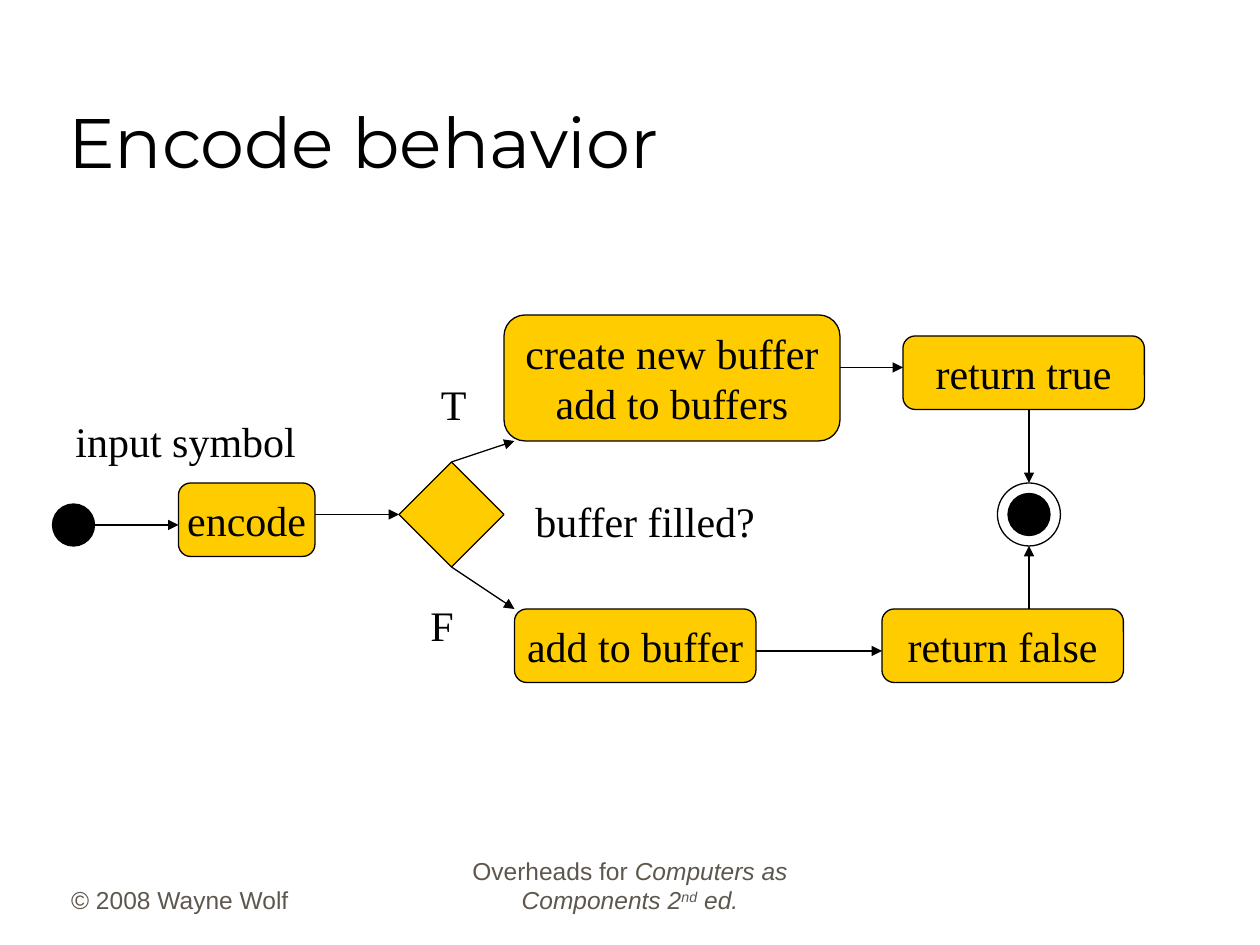
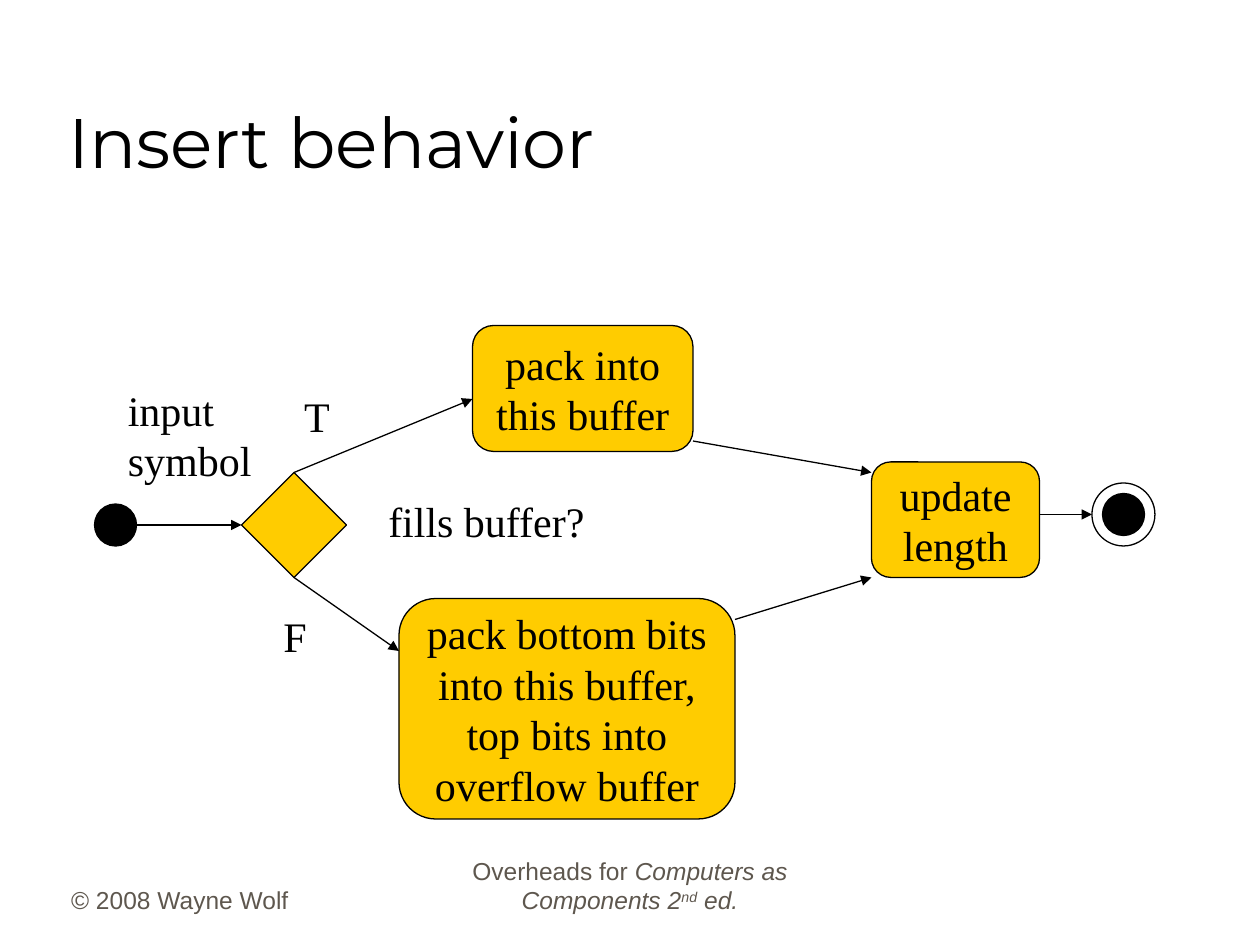
from dataclasses import dataclass
from typing import NamedTuple

from lxml.etree import SubElement
from pptx import Presentation
from pptx.dml.color import RGBColor
from pptx.enum.shapes import MSO_CONNECTOR, MSO_SHAPE
from pptx.enum.text import MSO_ANCHOR, MSO_AUTO_SIZE, PP_ALIGN
from pptx.oxml.ns import qn
from pptx.util import Emu, Pt

EMU_PER_PX = 7620  # 120 px to the inch


@dataclass(frozen=True)
class Theme:
    ink: RGBColor = RGBColor(0x00, 0x00, 0x00)
    node: RGBColor = RGBColor(0xFF, 0xCC, 0x00)
    footer: RGBColor = RGBColor(0x5E, 0x57, 0x4E)
    title_font: str = "Montserrat"
    flow_font: str = "Times New Roman"
    footer_font: str = "Arial"
    title_size: int = 40
    flow_size: int = 24
    footer_size: int = 14
    line_width: float = 0.75
    corner: float = 0.167


THEME = Theme()


class Box(NamedTuple):
    left: int
    top: int
    width: int
    height: int


SLIDE = Box(0, 0, 1200, 900)
TITLE = Box(53, 30, 1020, 150)
FLOW = Box(50, 300, 1050, 480)
COPYRIGHT = Box(56, 817, 250, 60)
BOOK = Box(410, 817, 380, 60)


def px(length):
    return Emu(length * EMU_PER_PX)


def emu_box(box):
    return [px(length) for length in box]


def add_run(paragraph, text, font, size, color, italic=False, baseline=None):
    run = paragraph.add_run()
    run.text = text
    run.font.name = font
    run.font.size = Pt(size)
    run.font.color.rgb = color
    run.font.italic = italic
    if baseline:
        run.font._element.set("baseline", str(baseline))


def add_lines(frame, lines, alignment):
    """Write one flowchart paragraph for each line, without wrapping."""
    frame.word_wrap = False
    for number, line in enumerate(lines):
        paragraph = frame.add_paragraph() if number else frame.paragraphs[0]
        paragraph.alignment = alignment
        add_run(paragraph, line, THEME.flow_font, THEME.flow_size, THEME.ink)


def add_bottom_text(slide, box, alignment=PP_ALIGN.LEFT):
    """Add a wrapping, bottom-anchored text box and return its paragraph."""
    frame = slide.shapes.add_textbox(*emu_box(box)).text_frame
    frame.word_wrap = True
    frame.vertical_anchor = MSO_ANCHOR.BOTTOM
    frame.paragraphs[0].alignment = alignment
    return frame.paragraphs[0]


def add_title(slide, box, text):
    paragraph = add_bottom_text(slide, box)
    add_run(paragraph, text, THEME.title_font, THEME.title_size, THEME.ink)


def add_footers(slide, copyright_box, book_box):
    style = THEME.footer_font, THEME.footer_size, THEME.footer
    add_run(add_bottom_text(slide, copyright_box), "© 2008 Wayne Wolf", *style)
    book = add_bottom_text(slide, book_box, PP_ALIGN.CENTER)
    add_run(book, "Overheads for ", *style)
    add_run(book, "Computers as Components 2", *style, italic=True)
    add_run(book, "nd", *style, italic=True, baseline=30000)
    add_run(book, " ed.", *style, italic=True)


class Flowchart:
    """Draws flowchart parts at positions relative to its area."""

    def __init__(self, slide, area):
        self.shapes = slide.shapes
        self.area = area
        self.joints = {}  # middle of a side -> (shape, connection site)

    def place(self, left, top, width, height):
        return emu_box((self.area.left + left, self.area.top + top, width, height))

    def add_outline(self, preset, box, fill):
        shape = self.shapes.add_shape(preset, *self.place(*box))
        shape.shadow.inherit = False
        if fill is None:
            shape.fill.background()
        else:
            shape.fill.solid()
            shape.fill.fore_color.rgb = fill
        shape.line.color.rgb = THEME.ink
        shape.line.width = Pt(THEME.line_width)
        return shape

    def add_node(self, preset, box):
        shape = self.add_outline(preset, box, THEME.node)
        left, top, width, height = box
        middle_x, middle_y = left + width // 2, top + height // 2
        sides = ((middle_x, top), (left, middle_y),
                 (middle_x, top + height), (left + width, middle_y))
        for site, point in enumerate(sides):
            self.joints[point] = shape, site
        return shape

    def add_activity(self, box, *lines):
        shape = self.add_node(MSO_SHAPE.ROUNDED_RECTANGLE, box)
        shape.adjustments[0] = THEME.corner
        shape.text_frame.vertical_anchor = MSO_ANCHOR.MIDDLE
        add_lines(shape.text_frame, lines, PP_ALIGN.CENTER)

    def add_decision(self, left, top):
        self.add_node(MSO_SHAPE.DIAMOND, (left, top, 100, 100))

    def add_start(self, left, top):
        self.add_outline(MSO_SHAPE.OVAL, (left, top, 40, 40), THEME.ink)

    def add_end(self, left, top):
        self.add_start(left + 10, top + 10)
        self.add_outline(MSO_SHAPE.OVAL, (left, top, 60, 60), None)

    def add_label(self, box, *lines):
        frame = self.shapes.add_textbox(*self.place(*box)).text_frame
        add_lines(frame, lines, PP_ALIGN.LEFT)
        frame.auto_size = MSO_AUTO_SIZE.SHAPE_TO_FIT_TEXT

    def add_arrow(self, begin, end):
        """Draw an arrow, joined to a node where it meets the middle of a side."""
        connector = self.shapes.add_connector(
            MSO_CONNECTOR.STRAIGHT, *self.place(*begin, *end)[:2],
            *self.place(*end, 0, 0)[:2])
        connector.line.color.rgb = THEME.ink
        connector.line.width = Pt(THEME.line_width)
        SubElement(connector.line._get_or_add_ln(), qn("a:tailEnd"), type="triangle")
        SubElement(connector._element.spPr, qn("a:effectLst"))
        if begin in self.joints:
            connector.begin_connect(*self.joints[begin])
        if end in self.joints:
            connector.end_connect(*self.joints[end])


def draw_encode_flow(slide, area):
    chart = Flowchart(slide, area)
    chart.add_activity((120, 160, 130, 70), "encode")
    chart.add_activity((430, 0, 320, 120), "create new buffer", "add to buffers")
    chart.add_activity((440, 280, 230, 70), "add to buffer")
    chart.add_activity((810, 20, 230, 70), "return true")
    chart.add_activity((790, 280, 230, 70), "return false")
    chart.add_start(0, 180)
    chart.add_decision(330, 140)
    chart.add_end(900, 160)
    for begin, end in (
        ((40, 200), (120, 200)),
        ((250, 190), (330, 190)),
        ((380, 140), (440, 120)),
        ((380, 240), (440, 280)),
        ((670, 320), (790, 320)),
        ((750, 50), (810, 50)),
        ((930, 280), (930, 220)),
        ((930, 90), (930, 160)),
    ):
        chart.add_arrow(begin, end)
    chart.add_label((10, 90, 234, 60), "input symbol")
    chart.add_label((448, 166, 234, 60), "buffer filled?")
    chart.add_label((358, 55, 48, 60), "T")
    chart.add_label((348, 265, 47, 60), "F")


def draw_insert_flow(slide, area):
    chart = Flowchart(slide, area)
    chart.add_activity((400, 10, 210, 120), "pack into", "this buffer")
    chart.add_activity((330, 270, 320, 210), "pack bottom bits", "into this buffer,",
                       "top bits into", "overflow buffer")
    chart.add_activity((780, 140, 160, 110), "update", "length")
    chart.add_start(40, 180)
    chart.add_decision(180, 150)
    chart.add_end(990, 160)
    for begin, end in (
        ((80, 200), (180, 200)),
        ((230, 150), (400, 80)),
        ((230, 250), (330, 320)),
        ((650, 290), (780, 250)),
        ((610, 120), (780, 150)),
        ((940, 190), (990, 190)),
    ):
        chart.add_arrow(begin, end)
    chart.add_label((60, 60, 142, 108), "input", "symbol")
    chart.add_label((308, 166, 211, 60), "fills buffer?")
    chart.add_label((228, 66, 48, 60), "T")
    chart.add_label((208, 276, 47, 60), "F")


def main():
    presentation = Presentation()
    presentation.slide_width = px(SLIDE.width)
    presentation.slide_height = px(SLIDE.height)
    for title, draw_flow in (
        ("Encode behavior", draw_encode_flow),
        ("Insert behavior", draw_insert_flow),
    ):
        slide = presentation.slides.add_slide(presentation.slide_layouts[6])
        add_footers(slide, COPYRIGHT, BOOK)
        add_title(slide, TITLE, title)
        draw_flow(slide, FLOW)
    presentation.save("out.pptx")


if __name__ == "__main__":
    main()
